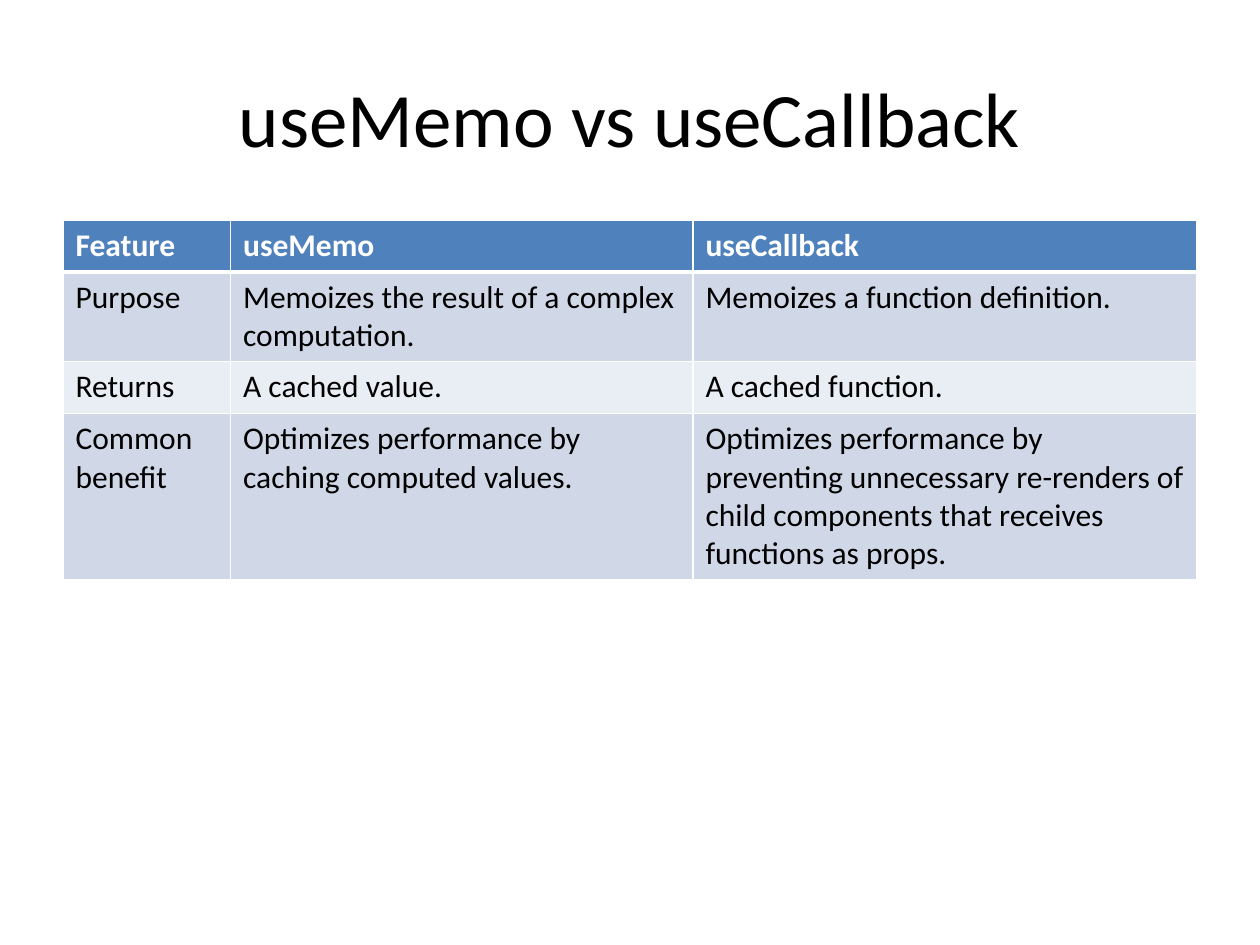
from dataclasses import dataclass

from lxml import etree
from pptx import Presentation
from pptx.dml.color import RGBColor
from pptx.enum.text import MSO_ANCHOR, PP_ALIGN
from pptx.oxml.ns import qn
from pptx.util import Inches, Pt

CENTER = PP_ALIGN.CENTER
LEFT = PP_ALIGN.LEFT
MIDDLE = MSO_ANCHOR.MIDDLE
TITLE_ONLY = 5


@dataclass(frozen=True)
class Theme:
    font: str = "Calibri"
    title: int = 44
    body: int = 18
    ink: str = "000000"
    white: str = "FFFFFF"
    head: str = "4F81BD"
    bands: tuple[str, str] = ("D0D8E8", "E9EDF4")
    thin: int = 1
    thick: int = 3


@dataclass(frozen=True)
class Row:
    name: str
    memo: str
    call: str


THEME = Theme()
WIDE, HIGH = 10, 7.5
EDGE = WIDE / 20
SPAN = WIDE - 2 * EDGE
COLS = (1.33, 3.67, 4)
ROW_H = 0.41

ROWS = (
    Row("Feature", "useMemo", "useCallback"),
    Row("Purpose", "Memoizes the result of a complex computation.",
        "Memoizes a function definition."),
    Row("Returns", "A cached value.", "A cached function."),
    Row("Common benefit", "Optimizes performance by caching computed values.",
        "Optimizes performance by preventing unnecessary re-renders of "
        "child components that receives functions as props."),
)


def write(frame, text: str, size: int, color: str, align, bold: bool = False) -> None:
    para = frame.paragraphs[0]
    para.alignment = align
    run = para.add_run()
    run.text = text
    font = run.font
    font.name, font.size, font.bold = THEME.font, Pt(size), bold
    font.color.rgb = RGBColor.from_string(color)


def border(cell, top: int, base: int) -> None:
    props = cell._tc.get_or_add_tcPr()
    sides = {"L": THEME.thin, "R": THEME.thin, "T": top, "B": base}
    for side, width in sides.items():
        line = etree.SubElement(props, qn(f"a:ln{side}"), w=str(Pt(width)))
        fill = etree.SubElement(line, qn("a:solidFill"))
        etree.SubElement(fill, qn("a:srgbClr"), val=THEME.white)


def paint(cell, text: str, row: int) -> None:
    head = row == 0
    # The rule under the header is shared with the first body row
    border(cell, THEME.thick if row == 1 else THEME.thin,
           THEME.thick if head else THEME.thin)
    cell.fill.solid()
    tint = THEME.head if head else THEME.bands[(row - 1) % 2]
    cell.fill.fore_color.rgb = RGBColor.from_string(tint)
    write(cell.text_frame, text, THEME.body,
          THEME.white if head else THEME.ink, LEFT, head)


deck = Presentation()
deck.slide_width, deck.slide_height = Inches(WIDE), Inches(HIGH)
slide = deck.slides.add_slide(deck.slide_layouts[TITLE_ONLY])

# Title
title = slide.shapes.title
title.left, title.top = Inches(EDGE), Inches(HIGH * 0.04)
title.width, title.height = Inches(SPAN), Inches(HIGH / 6)
title.text_frame.vertical_anchor = MIDDLE
write(title.text_frame, "useMemo vs useCallback", THEME.title, THEME.ink, CENTER)

# Comparison table
table = slide.shapes.add_table(
    len(ROWS), len(COLS), Inches(EDGE), Inches(1.75),
    Inches(SPAN), Inches(ROW_H * len(ROWS))).table
for col, width in zip(table.columns, COLS):
    col.width = Inches(width)
for r, row in enumerate(ROWS):
    table.rows[r].height = Inches(ROW_H)
    for c, text in enumerate((row.name, row.memo, row.call)):
        paint(table.cell(r, c), text, r)

deck.save("out.pptx")
